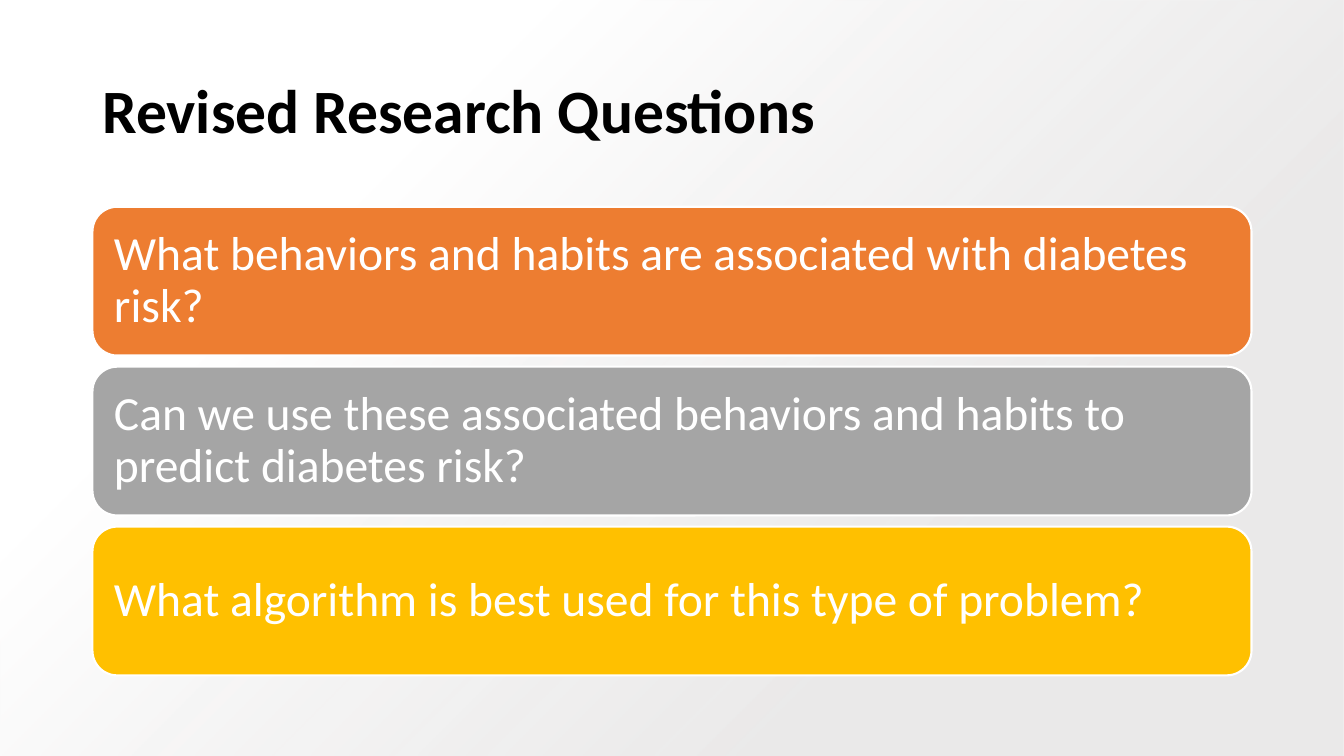
import pptx
import pptx.util
import pptx.oxml
import pptx.oxml.ns
import pptx.dml.color
import pptx.enum.shapes
import pptx.enum.text

Cm = pptx.util.Cm
Pt = pptx.util.Pt
LEFT, WIDTH = 2.33, 29.21
TOP, HEIGHT, PITCH = 5.21, 3.75, 4.03

QUESTIONS = [
    ("What behaviors and habits are associated with diabetes risk?", "ED7D31"),
    ("Can we use these associated behaviors and habits to predict diabetes risk?",
     "A5A5A5"),
    ("What algorithm is best used for this type of problem?", "FFC000"),
]

GLOW = f"""<a:gradFill {pptx.oxml.ns.nsdecls("a")} rotWithShape="1">
  <a:gsLst>
    <a:gs pos="28000"><a:srgbClr val="E7E6E6"><a:alpha val="84000"/></a:srgbClr></a:gs>
    <a:gs pos="74000"><a:srgbClr val="FFFFFF"/></a:gs>
  </a:gsLst>
  <a:path path="circle"><a:fillToRect l="100000" t="100000"/></a:path>
  <a:tileRect r="-100000" b="-100000"/>
</a:gradFill>"""


def color(code):
    return pptx.dml.color.RGBColor.from_string(code)


def write(frame, text, size=34, ink="FFFFFF", bold=False, inset=0.36):
    """Fill a text frame with one left-aligned, vertically centred paragraph."""
    frame.word_wrap = True
    frame.vertical_anchor = pptx.enum.text.MSO_ANCHOR.MIDDLE
    frame.margin_left = frame.margin_right = Cm(inset)
    frame.margin_top = frame.margin_bottom = Cm(inset)
    para = frame.paragraphs[0]
    para.alignment = pptx.enum.text.PP_ALIGN.LEFT
    para.line_spacing = 0.9
    run = para.add_run()
    run.text = text
    run.font.name = "Calibri"
    run.font.size = Pt(size)
    run.font.bold = bold
    run.font.color.rgb = color(ink)


class Deck:
    def __init__(self):
        self.prs = pptx.Presentation()
        self.prs.slide_width = Cm(33.87)
        self.prs.slide_height = Cm(19.05)
        self.slide = self.prs.slides.add_slide(self.prs.slide_layouts[6])

    def shape(self, kind, left, top, width, height):
        item = self.slide.shapes.add_shape(
            kind, Cm(left), Cm(top), Cm(width), Cm(height))
        item.shadow.inherit = False
        return item

    def backdrop(self):
        """Cover the slide with a glow that spreads from the lower right."""
        rect = self.shape(pptx.enum.shapes.MSO_SHAPE.RECTANGLE,
                          0, 0, 33.87, 19.05)
        rect.line.fill.background()
        geom = rect._element.spPr.find(pptx.oxml.ns.qn("a:prstGeom"))
        geom.addnext(pptx.oxml.parse_xml(GLOW))

    def title(self, text):
        box = self.slide.shapes.add_textbox(
            Cm(LEFT), Cm(1.01), Cm(WIDTH), Cm(3.68))
        write(box.text_frame, text, size=44, ink="000000", bold=True, inset=0.25)

    def card(self, top, text, fill):
        card = self.shape(pptx.enum.shapes.MSO_SHAPE.ROUNDED_RECTANGLE,
                          LEFT, top, WIDTH, HEIGHT)
        card.fill.solid()
        card.fill.fore_color.rgb = color(fill)
        card.line.color.rgb = color("FFFFFF")
        card.line.width = Pt(1.5)
        write(card.text_frame, text)


def main():
    deck = Deck()
    deck.backdrop()
    deck.title("Revised Research Questions")
    for row, (text, fill) in enumerate(QUESTIONS):
        deck.card(TOP + row * PITCH, text, fill)
    deck.prs.save("out.pptx")


if __name__ == "__main__":
    main()
